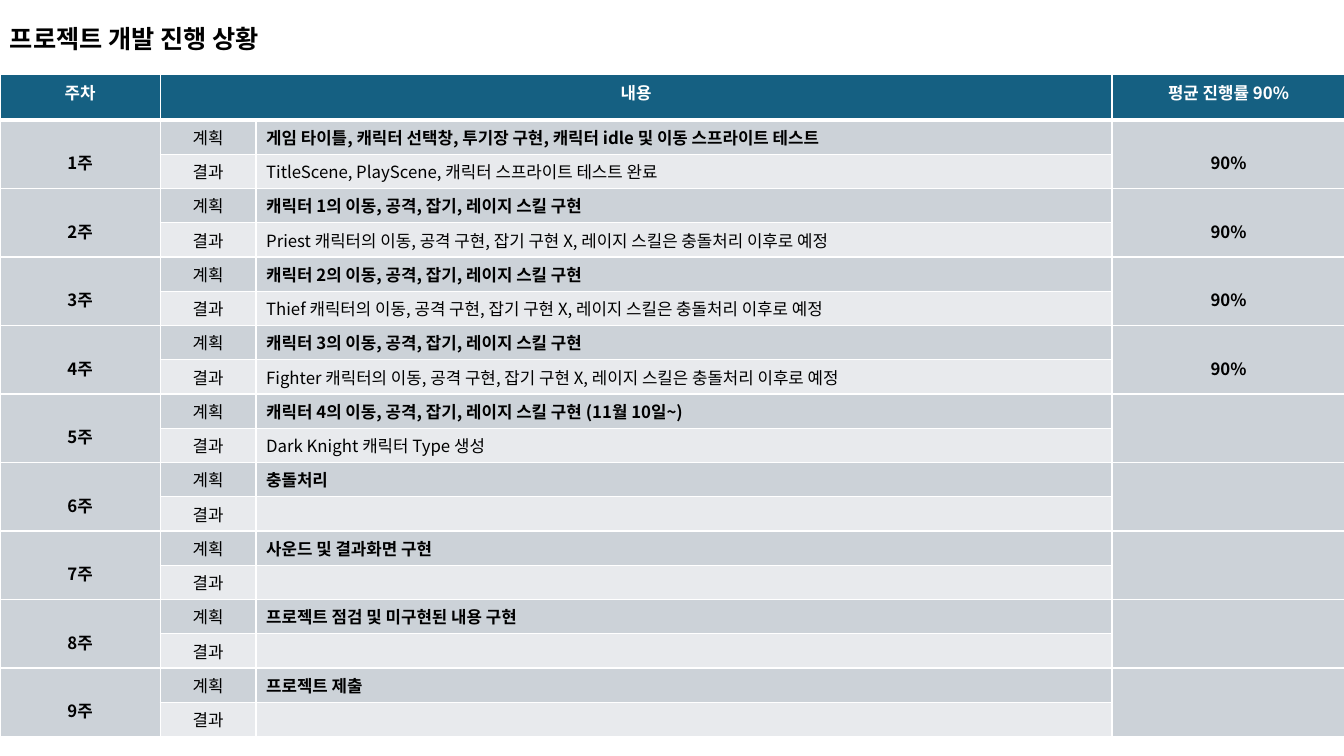
from lxml.etree import SubElement
from pptx import Presentation
from pptx.dml.color import RGBColor
from pptx.enum.text import MSO_ANCHOR, PP_ALIGN
from pptx.oxml.ns import qn
from pptx.util import Inches, Pt

FONT = "Noto Sans CJK KR"
WHITE, BLACK, TEAL, GREY, PALE = "FFFFFF", "000000", "156082", "CCD2D8", "E8EAED"
SLIDE_W, SLIDE_H = 13.33, 7.5
COLUMNS = (1.59, 0.95, 8.49, 2.31)
HEADER_H, ROW_H = 0.45, 0.34
WEEK_TOP = 0.3  # sets week and rate text one line below the cell's top

# plan, result, progress rate
WEEKS = [
    ("게임 타이틀, 캐릭터 선택창, 투기장 구현, 캐릭터 idle 및 이동 스프라이트 테스트",
     "TitleScene, PlayScene, 캐릭터 스프라이트 테스트 완료", "90%"),
    ("캐릭터 1의 이동, 공격, 잡기, 레이지 스킬 구현",
     "Priest 캐릭터의 이동, 공격 구현, 잡기 구현 X, 레이지 스킬은 충돌처리 이후로 예정", "90%"),
    ("캐릭터 2의 이동, 공격, 잡기, 레이지 스킬 구현",
     "Thief 캐릭터의 이동, 공격 구현, 잡기 구현 X, 레이지 스킬은 충돌처리 이후로 예정", "90%"),
    ("캐릭터 3의 이동, 공격, 잡기, 레이지 스킬 구현",
     "Fighter 캐릭터의 이동, 공격 구현, 잡기 구현 X, 레이지 스킬은 충돌처리 이후로 예정", "90%"),
    ("캐릭터 4의 이동, 공격, 잡기, 레이지 스킬 구현 (11월 10일~)",
     "Dark Knight 캐릭터 Type 생성", ""),
    ("충돌처리", "", ""),
    ("사운드 및 결과화면 구현", "", ""),
    ("프로젝트 점검 및 미구현된 내용 구현", "", ""),
    ("프로젝트 제출", "", ""),
]


def color(hex_code):
    return RGBColor.from_string(hex_code)


def write(frame, text, size=12, ink=BLACK, bold=False, align=PP_ALIGN.LEFT, spacing=None):
    """Write one paragraph; an empty one still keeps its line size."""
    para = frame.paragraphs[0]
    para.alignment = align
    if spacing:
        para.line_spacing = spacing
    if not text:
        SubElement(para._p, qn("a:endParaRPr"), sz=str(size * 100))
        return
    span = para.add_run()
    span.text = text
    span.font.name = FONT
    span.font.size = Pt(size)
    span.font.bold = bold
    span.font.color.rgb = color(ink)
    SubElement(span.font._element, qn("a:ea"), typeface=FONT)


def fill_cell(cell, text, fill, top=0.05, bottom_line=1, **style):
    """Give a cell its white borders, fill and text."""
    props = cell._tc.get_or_add_tcPr()
    for side in "LRTB":
        width = bottom_line if side == "B" else 1
        line = SubElement(props, qn(f"a:ln{side}"), w=str(Pt(width)))
        solid = SubElement(line, qn("a:solidFill"))
        SubElement(solid, qn("a:srgbClr"), val=WHITE)
    cell.fill.solid()
    cell.fill.fore_color.rgb = color(fill)
    cell.margin_top = Inches(top)
    write(cell.text_frame, text, **style)


def add_title(page, left, top, width, height):
    box = page.shapes.add_textbox(*map(Inches, (left, top, width, height)))
    frame = box.text_frame
    frame.word_wrap = True
    frame.vertical_anchor = MSO_ANCHOR.MIDDLE
    write(frame, "프로젝트 개발 진행 상황", size=18, bold=True, spacing=0.9)


def add_schedule(page, left, top, width):
    """Add the table: a header, then a plan row and a result row for each week."""
    row_count = 1 + 2 * len(WEEKS)
    height = HEADER_H + ROW_H * (row_count - 1)
    table = page.shapes.add_table(
        row_count, len(COLUMNS), *map(Inches, (left, top, width, height))).table
    for column, share in zip(table.columns, COLUMNS):
        column.width = Inches(share)
    for index, row in enumerate(table.rows):
        row.height = Inches(ROW_H if index else HEADER_H)

    centred = {"align": PP_ALIGN.CENTER}
    strong = {"align": PP_ALIGN.CENTER, "bold": True}
    for col, text in enumerate(("주차", "내용", "", "평균 진행률 90%")):
        fill_cell(table.cell(0, col), text, TEAL, bottom_line=3, ink=WHITE, **strong)
    table.cell(0, 1).merge(table.cell(0, 2))

    for week, (plan, result, rate) in enumerate(WEEKS, 1):
        first = 2 * week - 1
        entries = (("계획", plan, GREY, True), ("결과", result, PALE, False))
        for row, (label, text, fill, bold) in enumerate(entries, first):
            fill_cell(table.cell(row, 1), label, fill, **centred)
            fill_cell(table.cell(row, 2), text, fill, bold=bold)
        for col, text in ((0, f"{week}주"), (3, rate)):
            fill_cell(table.cell(first, col), text, GREY,
                      top=WEEK_TOP if text else 0.05, **strong)
            fill_cell(table.cell(first + 1, col), "", GREY)
            table.cell(first, col).merge(table.cell(first + 1, col))


def main():
    deck = Presentation()
    deck.slide_width, deck.slide_height = Inches(SLIDE_W), Inches(SLIDE_H)
    page = deck.slides.add_slide(deck.slide_layouts[6])
    add_title(page, 0, 0.19, 11.5, 0.43)
    add_schedule(page, 0, 0.74, SLIDE_W)
    deck.save("out.pptx")


if __name__ == "__main__":
    main()
